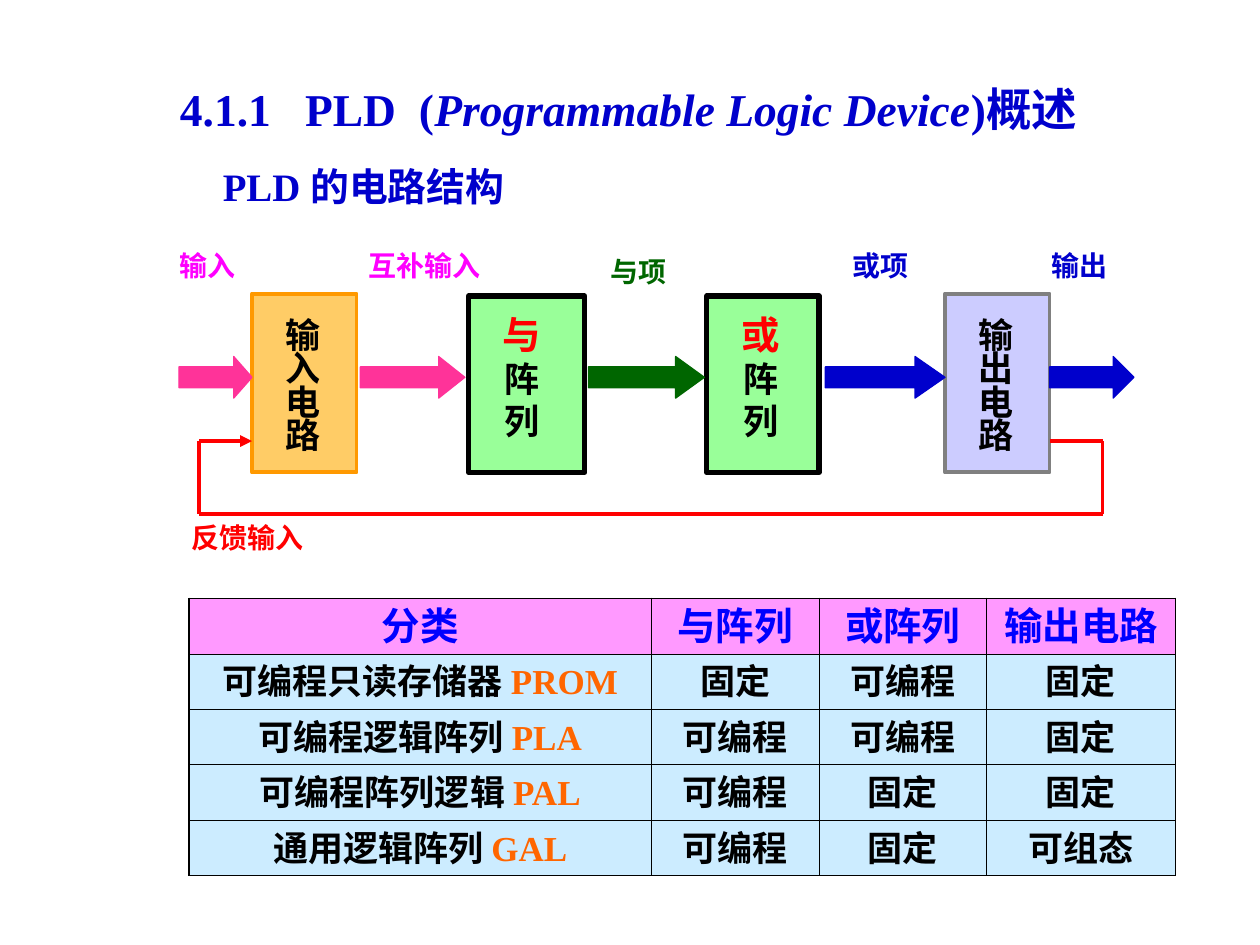
from dataclasses import dataclass
from typing import NamedTuple, Optional

from lxml import etree
from pptx import Presentation
from pptx import util as u
from pptx.dml.color import RGBColor
from pptx.enum import shapes, text
from pptx.oxml.ns import qn


@dataclass(frozen=True)
class Theme:
    font: str = "Times New Roman"
    blue: str = "0000CC"
    head_blue: str = "0000FF"
    magenta: str = "FF00FF"
    pink: str = "FF3399"
    green: str = "006600"
    red: str = "FF0000"
    black: str = "000000"
    orange: str = "FF6600"
    head_fill: str = "FF99FF"
    body_fill: str = "CCECFF"
    array_fill: str = "99FF99"
    input_fill: str = "FFCC66"
    input_line: str = "FF9900"
    output_fill: str = "CCCCFF"
    output_line: str = "808080"
    title: float = 26
    subtitle: float = 22.2
    head: float = 22
    body: float = 20
    label: float = 16


T = Theme()


class Run(NamedTuple):
    text: str
    color: Optional[str] = None
    size: Optional[float] = None
    italic: bool = False


class Block(NamedTuple):
    left: float
    top: float
    width: float
    height: float
    fill: str
    line: str
    weight: float


class Caption(NamedTuple):
    left: float
    top: float
    width: float
    height: float
    runs: list[Run]
    spacing: float = 1.0
    align: text.PP_ALIGN = text.PP_ALIGN.LEFT


class Arrow(NamedTuple):
    left: float
    width: float
    head: float
    color: str


class Wire(NamedTuple):
    x1: float
    y1: float
    x2: float
    y2: float
    arrow: bool = False


def rgb(value: str) -> RGBColor:
    return RGBColor.from_string(value)


def write(p, runs: list[Run], size: float, color: str, spacing: float, align) -> None:
    p.alignment, p.line_spacing = align, spacing
    p.font.name, p.font.size, p.font.bold = T.font, u.Pt(size), True
    p.font.color.rgb = rgb(color)
    for run in runs:
        r = p.add_run()
        r.text = run.text
        if run.color:
            r.font.color.rgb = rgb(run.color)
        if run.size:
            r.font.size = u.Pt(run.size)
        if run.italic:
            r.font.italic = True


def add_caption(s, c: Caption, size: float, color: str, middle: bool = False) -> None:
    tf = s.shapes.add_textbox(*map(u.Inches, c[:4])).text_frame
    tf.word_wrap = True
    if middle:
        tf.vertical_anchor = text.MSO_ANCHOR.MIDDLE
    write(tf.paragraphs[0], c.runs, size, color, c.spacing, c.align)


def add_filled(s, kind, box: tuple, fill: str, line: str, weight: float):
    sp = s.shapes.add_shape(kind, *map(u.Inches, box))
    sp.shadow.inherit = False
    sp.fill.solid()
    sp.fill.fore_color.rgb = rgb(fill)
    sp.line.color.rgb = rgb(line)
    sp.line.width = u.Pt(weight)
    return sp


def add_arrow(s, a: Arrow) -> None:
    box = (a.left, 2.83, a.width, 0.33)
    sp = add_filled(s, shapes.MSO_SHAPE.RIGHT_ARROW, box, a.color, a.color, 0.75)
    sp.adjustments[1] = a.head


def add_wire(s, w: Wire) -> None:
    cx = s.shapes.add_connector(shapes.MSO_CONNECTOR.STRAIGHT, *map(u.Inches, w[:4]))
    cx.line.color.rgb = rgb(T.red)
    cx.line.width = u.Pt(2.25)
    if w.arrow:
        etree.SubElement(cx.line._get_or_add_ln(), qn("a:tailEnd"), type="triangle")
    etree.SubElement(cx._element.spPr, qn("a:effectLst"))


def set_border(cell, side: str, weight: float) -> None:
    ln = etree.SubElement(cell._tc.get_or_add_tcPr(), qn(f"a:ln{side}"), w=str(u.Pt(weight)))
    fill = etree.SubElement(ln, qn("a:solidFill"))
    etree.SubElement(fill, qn("a:srgbClr"), val=T.black)


def add_table(s, rows: list[list[str]], widths: list[float], row_height: float) -> None:
    box = (1.5, 4.75, sum(widths), row_height * len(rows))
    table = s.shapes.add_table(len(rows), len(widths), *map(u.Inches, box)).table
    for column, width in zip(table.columns, widths):
        column.width = u.Inches(width)
    for i, row in enumerate(rows):
        table.rows[i].height = u.Inches(row_height)
        for j, value in enumerate(row):
            cell = table.cell(i, j)
            outer = {"L": j == 0, "R": j == len(row) - 1, "T": i == 0, "B": i == len(rows) - 1}
            for side, edge in outer.items():
                set_border(cell, side, 1.08 if edge else 0.45)
            cell.fill.solid()
            cell.fill.fore_color.rgb = rgb(T.body_fill if i else T.head_fill)
            cell.vertical_anchor = text.MSO_ANCHOR.BOTTOM
            name, gap, code = value.partition(" ")
            runs = [Run(name + gap)] + ([Run(code, T.orange)] if code else [])
            size, color = (T.body, T.black) if i else (T.head, T.head_blue)
            write(cell.text_frame.paragraphs[0], runs, size, color, 0.8, text.PP_ALIGN.CENTER)


def main() -> None:
    prs = Presentation()
    prs.slide_width, prs.slide_height = u.Inches(10), u.Inches(7.5)
    s = prs.slides.add_slide(prs.slide_layouts[6])

    title = [Run("4.1.1\u00a0  PLD  ("), Run("Programmable Logic Device", italic=True), Run(")概述")]
    add_caption(s, Caption(1.33, 0.42, 8.17, 0.83, title, 1.1), T.title, T.blue, middle=True)
    subtitle = Caption(1.67, 1.17, 5.17, 0.55, [Run("PLD 的电路结构")], 1.2)
    add_caption(s, subtitle, T.subtitle, T.blue)

    add_table(s, [
        ["分类", "与阵列", "或阵列", "输出电路"],
        ["可编程只读存储器 PROM", "固定", "可编程", "固定"],
        ["可编程逻辑阵列 PLA", "可编程", "可编程", "固定"],
        ["可编程阵列逻辑 PAL", "可编程", "固定", "固定"],
        ["通用逻辑阵列 GAL", "可编程", "固定", "可组态"],
    ], [3.67, 1.33, 1.33, 1.5], 0.44)

    for block in (
        Block(2, 2.33, 0.83, 1.42, T.input_fill, T.input_line, 2.25),
        Block(3.72, 2.35, 0.92, 1.4, T.array_fill, T.black, 3),
        Block(5.61, 2.35, 0.89, 1.4, T.array_fill, T.black, 3),
        Block(7.5, 2.33, 0.83, 1.42, T.output_fill, T.output_line, 2.25),
    ):
        add_filled(s, shapes.MSO_SHAPE.RECTANGLE, block[:4], *block[4:])

    for left, name in ((2.17, "输入电路"), (7.67, "输出电路")):
        add_caption(s, Caption(left, 2.5, 0.42, 1.17, [Run(name)], 0.8), T.body, T.black)
    for left, width, gate in ((3.89, 0.5, "与"), (5.75, 0.58, "或")):
        runs = [Run(gate, T.red, T.head), Run("阵列")]
        caption = Caption(left, 2.42, width, 1.14, runs, align=text.PP_ALIGN.CENTER)
        add_caption(s, caption, T.body, T.black)

    for arrow in (
        Arrow(1.42, 0.58, 0.44, T.pink),
        Arrow(2.86, 0.83, 0.63, T.pink),
        Arrow(4.67, 0.92, 0.69, T.green),
        Arrow(6.55, 0.95, 0.72, T.blue),
        Arrow(8.33, 0.67, 0.5, T.blue),
    ):
        add_arrow(s, arrow)

    left, right, top, bottom = 1.58, 8.75, 3.5, 4.08
    for wire in (
        Wire(8.33, top, right, top),
        Wire(right, top, right, bottom),
        Wire(left, bottom, right, bottom),
        Wire(left, top, left, bottom),
        Wire(left, top, 2, top, arrow=True),
    ):
        add_wire(s, wire)

    for x, y, width, name, color in (
        (1.33, 1.92, 0.67, "输入", T.magenta),
        (2.83, 1.92, 1.17, "互补输入", T.magenta),
        (4.75, 1.97, 0.75, "与项", T.green),
        (6.67, 1.92, 0.75, "或项", T.blue),
        (8.25, 1.92, 0.67, "输出", T.blue),
        (1.42, 4.08, 1.92, "反馈输入", T.red),
    ):
        add_caption(s, Caption(x, y, width, 0.37, [Run(name)]), T.label, color)

    prs.save("out.pptx")


if __name__ == "__main__":
    main()
